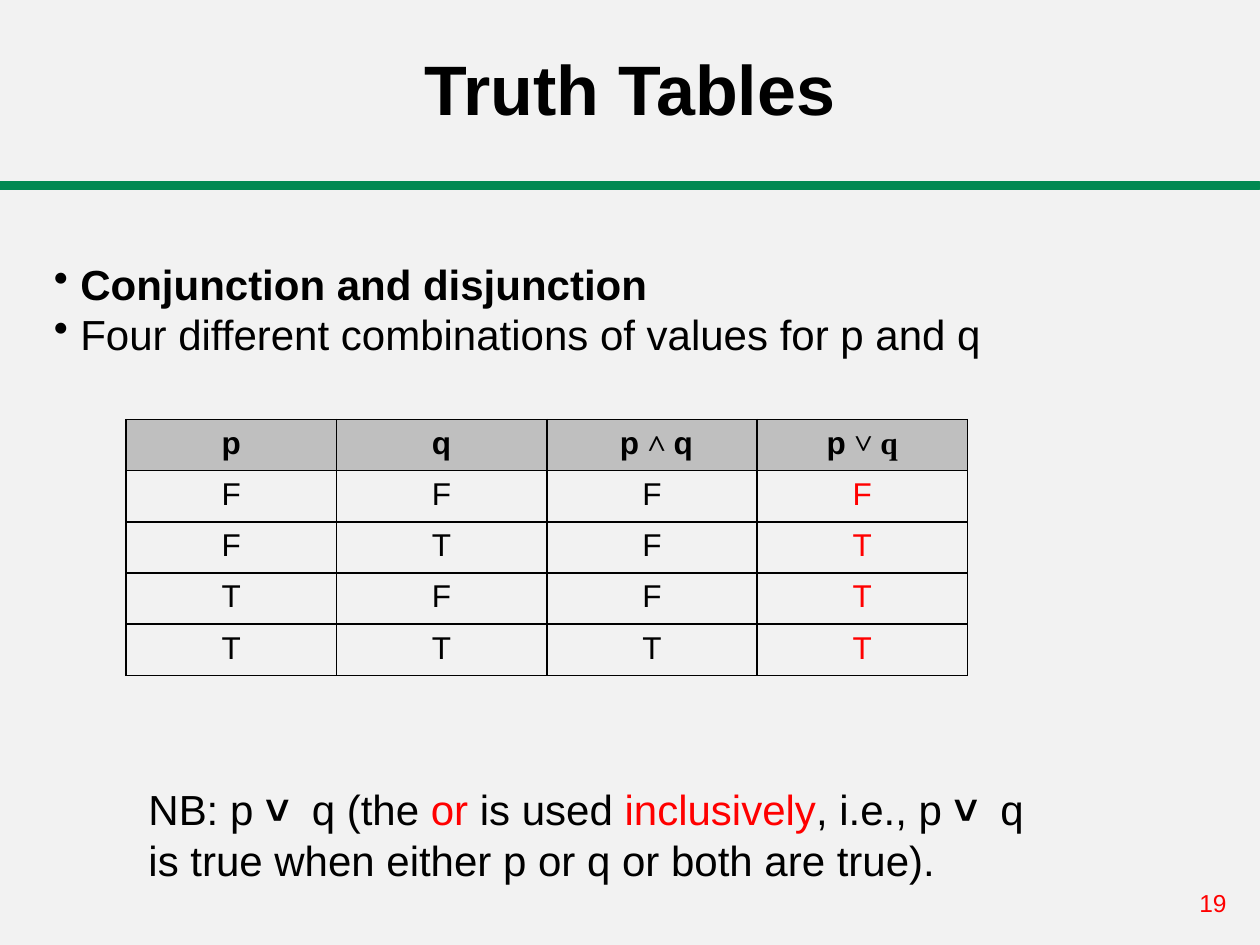
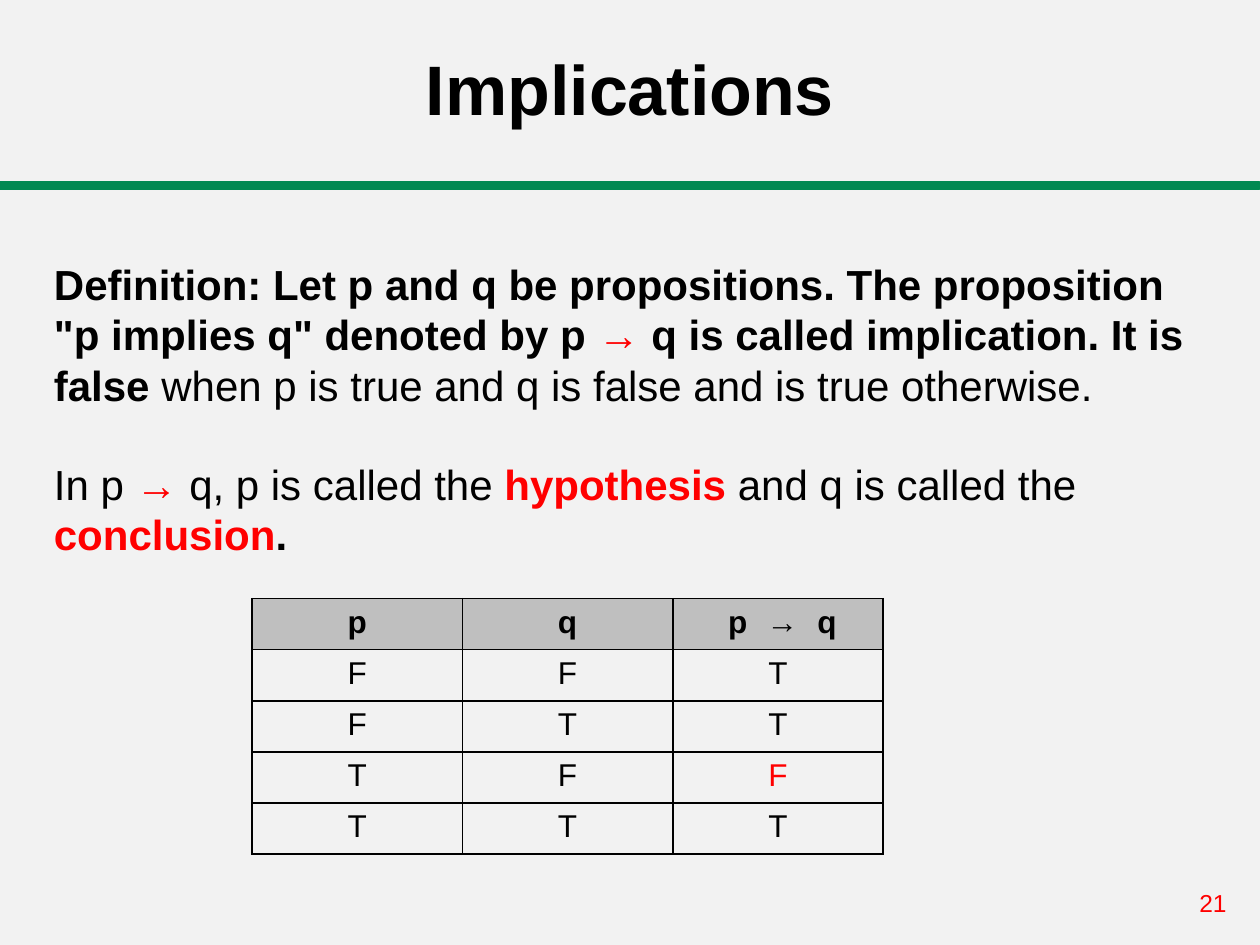
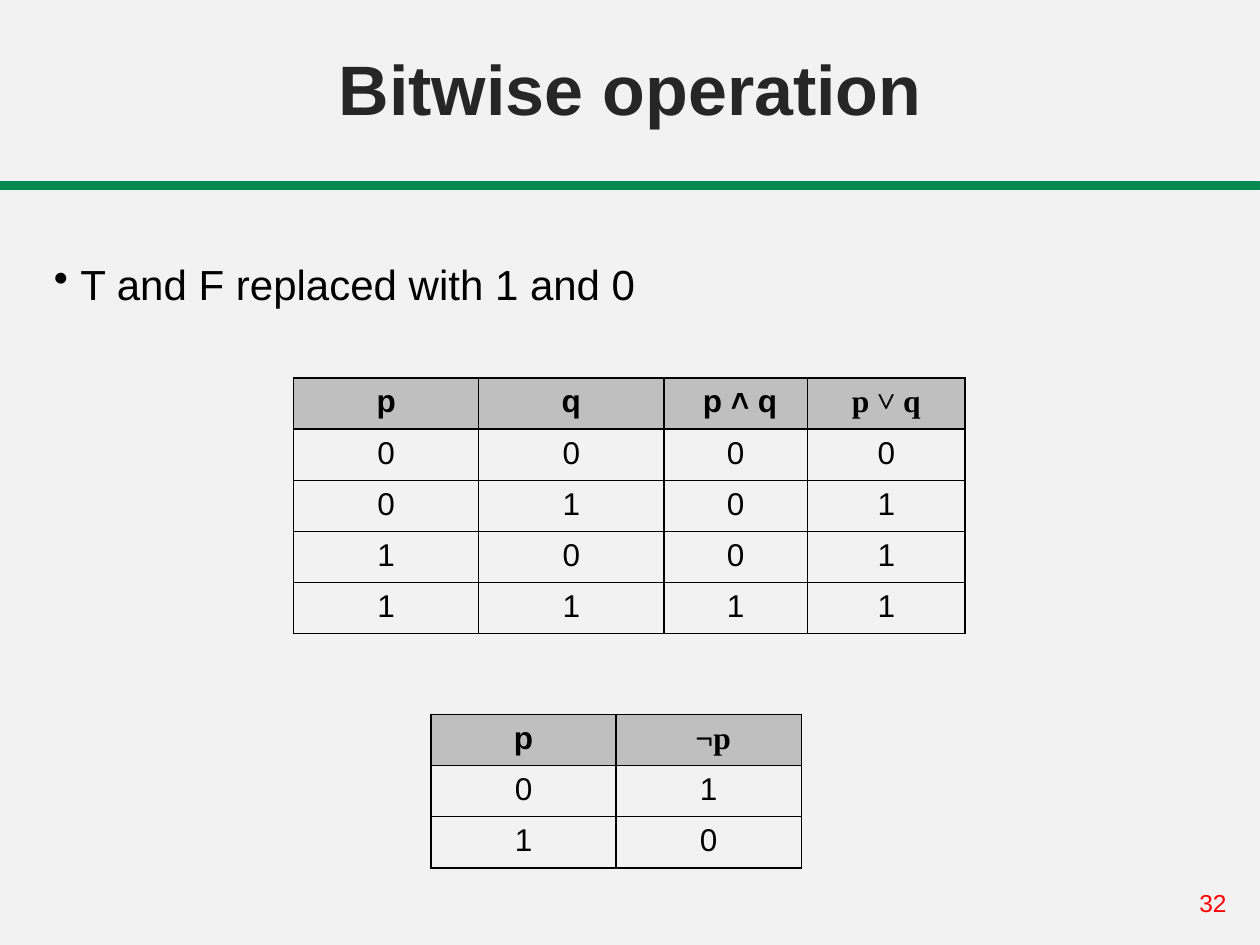
from pptx import Presentation
from pptx.dml.color import RGBColor
from pptx.enum.shapes import MSO_SHAPE
from pptx.enum.text import MSO_ANCHOR, PP_ALIGN
from pptx.oxml import parse_xml
from pptx.oxml.ns import nsdecls
from pptx.util import Inches, Pt

PAPER = RGBColor(0xF2, 0xF2, 0xF2)
GREEN = RGBColor(0x01, 0x89, 0x52)
BLACK = RGBColor(0x00, 0x00, 0x00)
DARK = RGBColor(0x26, 0x26, 0x26)
RED = RGBColor(0xFF, 0x00, 0x00)
GRAY = RGBColor(0xBF, 0xBF, 0xBF)


# Run flags: b bold, r red, d dark, t Times New Roman, w wide spacing
def write(para, runs, size):
    for text, flags in runs:
        run = para.add_run()
        run.text = text
        font = run.font
        font.size = Pt(size)
        font.name = "Times New Roman" if "t" in flags else "Arial"
        font.bold = "b" in flags
        font.color.rgb = RED if "r" in flags else DARK if "d" in flags else BLACK
        if "w" in flags:
            run._r.get_or_add_rPr().set("spc", "600")


def grid(slide, left, top, widths, heads, rows, reds):
    count = len(rows) + 1
    frame = slide.shapes.add_table(count, len(heads), Inches(left), Inches(top),
                                   Inches(sum(widths)), Inches(0.406 * count))
    table = frame.table
    table.first_row = table.horz_banding = False
    for col, width in zip(table.columns, widths):
        col.width = Inches(width)
    body = [[[(mark, "r" if (r, c) in reds else "")] for c, mark in enumerate(row)]
            for r, row in enumerate(rows)]
    for r, row in enumerate([heads] + body):
        for c, runs in enumerate(row):
            cell = table.cell(r, c)
            para = cell.text_frame.paragraphs[0]
            para.alignment = PP_ALIGN.CENTER
            write(para, runs, 18)
            for side in "LRTB":
                cell._tc.get_or_add_tcPr().append(parse_xml(
                    f'<a:ln{side} {nsdecls("a")} w="12700"><a:solidFill>'
                    f'<a:srgbClr val="{BLACK}"/></a:solidFill></a:ln{side}>'))
            if r == 0:
                cell.fill.solid()
                cell.fill.fore_color.rgb = GRAY
            else:
                cell.fill.background()


# Truth values and column heads
LOGIC = ["FF", "FT", "TF", "TT"]
BITS = ["00", "01", "10", "11"]
P, Q = [("p", "b")], [("q", "b")]
AND = [" p ", "˄ ", "q"]

# Each slide: number, title, title flags, text boxes, tables
# Each text box: place, bulleted, paragraphs
# Each table: left, top, widths, heads, rows, red cells
slides = [
    (19, "Truth Tables", "b", [
        ((0.33, 2, 9.33, 1.72), True, [
            [("Conjunction and disjunction", "b")],
            [("Four different combinations of values for p and q", "")]]),
        ((1.08, 6.17, 7.33, 0.91), False, [
            [("NB: p ", ""), ("˅", "b"), (" ", "w"), ("q (the ", ""), ("or", "r"),
             (" is used ", ""), ("inclusively", "r"), (", i.e., p ", ""),
             ("˅", "b"), (" ", "w"),
             ("q is true when either p or q or both are true).", "")]])],
     [(1, 3.33, [1.67] * 4,
       [P, Q, list(zip(AND, ["b", "bt", "b"])), [("p ", "b"), ("˅ q", "bt")]],
       [a + b for a, b in zip(LOGIC, ["FF", "FT", "FT", "TT"])],
       [(r, 3) for r in range(4)])]),
    (21, "Implications", "b", [
        ((0.33, 2, 9.33, 2.52), False, [
            [("Definition: Let p and q be propositions. The proposition "
              "\"p implies q\" denoted by p ", "b"), ("→", "br"),
             (" q is called implication. It is false ", "b"),
             ("when p is true and q is false and is true otherwise.", "")],
            [("In p ", ""), ("→", "br"), (" q, p is called the ", ""),
             ("hypothesis ", "br"), ("and q is called the", "")],
            [("conclusion", "br"), (".", "b")]])],
     [(2, 4.75, [1.67] * 3,
       [P, Q, [(" p", "b"), (" ", "bw"), ("→", "bt"), (" ", "bw"), ("q", "b")]],
       [a + b for a, b in zip(LOGIC, "TTFT")], [(2, 2)])]),
    (32, "Bitwise operation", "bd", [
        ((0.33, 2, 9.33, 0.51), True, [[("T and F replaced with 1 and 0", "")]])],
     [(2.33, 3, [1.47, 1.47, 1.14, 1.25],
       [P, Q, [("".join(AND), "b")], [("p ˅ q", "bt")]],
       [a + b for a, b in zip(BITS, ["00", "01", "01", "11"])], []),
      (3.42, 5.67, [1.47] * 2, [P, [(" ", "b"), ("¬p", "bt")]], ["01", "10"], [])]),
]

prs = Presentation()
prs.slide_width, prs.slide_height = Inches(10), Inches(7.5)
back = prs.slide_master.background.fill
back.solid()
back.fore_color.rgb = PAPER

for number, title, flags, boxes, tables in slides:
    slide = prs.slides.add_slide(prs.slide_layouts[6])
    shapes = slide.shapes

    # Green band
    band = shapes.add_shape(MSO_SHAPE.RECTANGLE, 0, Inches(1.45), Inches(10), Inches(0.05))
    band.shadow.inherit = False
    band.fill.solid()
    band.fill.fore_color.rgb = band.line.color.rgb = GREEN
    band.line.width = Pt(1.75)

    # Page number
    page = shapes.add_textbox(Inches(9.42), Inches(7), Inches(0.58), Inches(0.34))
    page.text_frame.word_wrap = True
    write(page.text_frame.paragraphs[0], [(str(number), "r")], 14)

    # Title
    head = shapes.add_textbox(0, 0, Inches(10), Inches(1.08)).text_frame
    head.word_wrap = True
    head.vertical_anchor = MSO_ANCHOR.BOTTOM
    head.paragraphs[0].alignment = PP_ALIGN.CENTER
    write(head.paragraphs[0], [(title, flags)], 40)

    # Body text
    for place, listed, paras in boxes:
        frame = shapes.add_textbox(*map(Inches, place)).text_frame
        frame.word_wrap = True
        for i, runs in enumerate(paras):
            para = frame.add_paragraph() if i else frame.paragraphs[0]
            if listed:
                props = para._p.get_or_add_pPr()
                props.set("marL", str(Inches(0.21)))
                props.set("indent", str(-Inches(0.21)))
                props.append(parse_xml(f'<a:buChar {nsdecls("a")} char="•"/>'))
            elif i == 1:
                para.space_before = Pt(28)
            write(para, runs, 24)

    # Truth tables
    for table in tables:
        grid(slide, *table)

prs.save("out.pptx")
